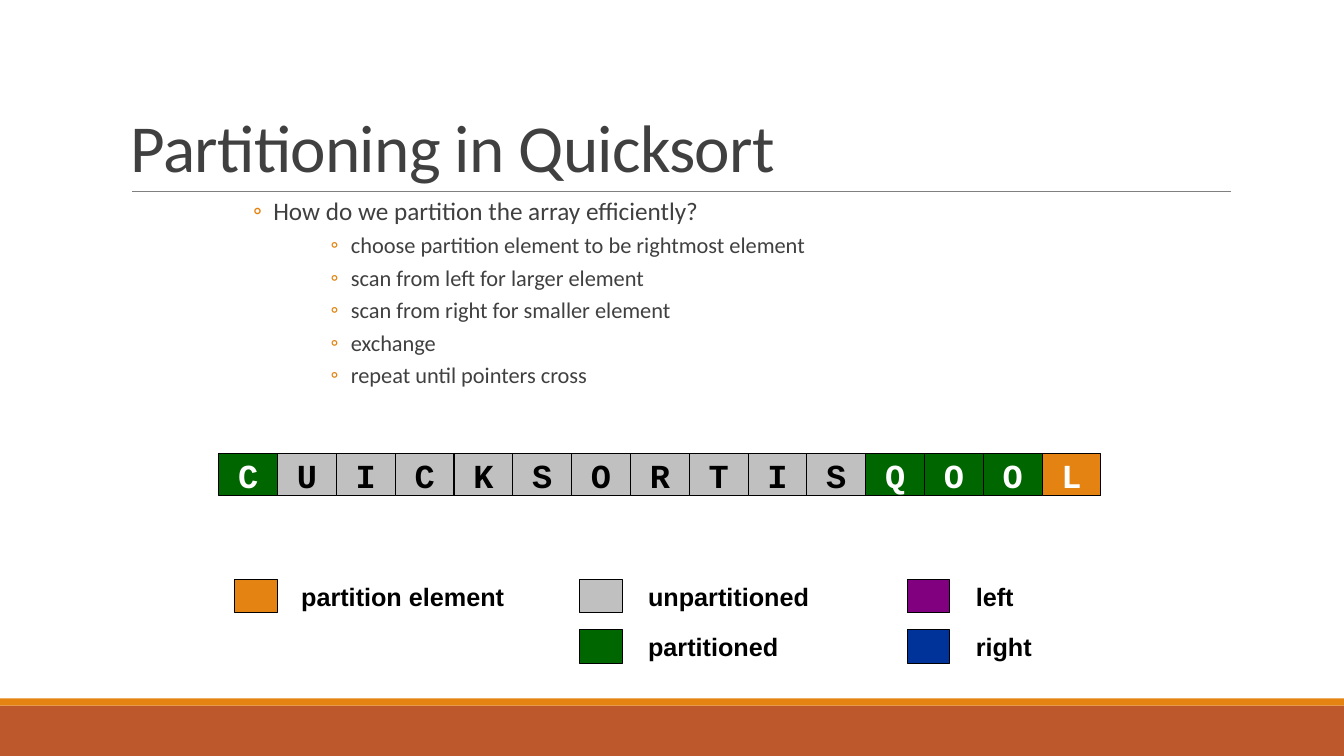
from dataclasses import dataclass

import lxml.etree
import pptx
import pptx.dml.color
import pptx.enum.shapes
import pptx.enum.text
import pptx.oxml.ns
import pptx.util

Inches = pptx.util.Inches
Pt = pptx.util.Pt
RGBColor = pptx.dml.color.RGBColor
Align = pptx.enum.text.PP_ALIGN
Anchor = pptx.enum.text.MSO_ANCHOR
qn = pptx.oxml.ns.qn

RUST = RGBColor(0xBD, 0x58, 0x2C)
ORANGE = RGBColor(0xE4, 0x83, 0x12)
GREEN = RGBColor(0x00, 0x66, 0x00)
SILVER = RGBColor(0xC0, 0xC0, 0xC0)
PURPLE = RGBColor(0x80, 0x00, 0x80)
BLUE = RGBColor(0x00, 0x33, 0x99)
GRAY = RGBColor(0x80, 0x80, 0x80)
DARK = RGBColor(0x40, 0x40, 0x40)
BLACK = RGBColor(0x00, 0x00, 0x00)
WHITE = RGBColor(0xFF, 0xFF, 0xFF)


@dataclass
class Box:
    left: float
    top: float
    width: float
    height: float

    def lengths(self) -> list:
        return [Inches(n) for n in (self.left, self.top, self.width, self.height)]


@dataclass
class Style:
    font: str
    size: int
    color: RGBColor
    bold: bool = False


@dataclass
class Key:
    """One legend entry: a colour swatch and its label."""
    text: str
    fill: RGBColor
    left: float
    top: float
    width: float
    align: Align = Align.LEFT
    margin: float = 0.1


@dataclass
class Point:
    text: str
    level: int = 2


LEVELS = {1: (0.42, 18), 2: (1.19, 16)}  # level: (left margin, text size)
LABEL = Style("Arial", 18, BLACK, True)

POINTS = [
    Point("How do we partition the array efficiently?", 1),
    Point("choose partition element to be rightmost element"),
    Point("scan from left for larger element"),
    Point("scan from right for smaller element"),
    Point("exchange"),
    Point("repeat until pointers cross"),
]

# Runs of array letters that share a fill and a text colour
PARTS = [
    ("C", GREEN, WHITE),
    ("UICKSORTIS", SILVER, BLACK),
    ("QOO", GREEN, WHITE),
    ("L", ORANGE, WHITE),
]

# The longest label needs the full width of its box, so it has no margin
KEYS = [
    Key("partition element", ORANGE, 2.33, 5.75, 2.17, Align.CENTER, 0),
    Key("unpartitioned", SILVER, 5.75, 5.75, 2.17),
    Key("partitioned", GREEN, 5.75, 6.25, 2.17),
    Key("left", PURPLE, 9, 5.75, 1.08),
    Key("right", BLUE, 9, 6.25, 1.08),
]


def add_rect(slide, box: Box, fill: RGBColor, edge: bool = True):
    rect = slide.shapes.add_shape(
        pptx.enum.shapes.MSO_SHAPE.RECTANGLE, *box.lengths())
    rect.shadow.inherit = False
    rect.fill.solid()
    rect.fill.fore_color.rgb = fill
    if edge:
        rect.line.color.rgb = BLACK
        rect.line.width = Pt(0.75)
    else:
        rect.line.fill.background()
    return rect


def add_run(para, text: str, style: Style):
    run = para.add_run()
    run.text = text
    run.font.name = style.font
    run.font.size = Pt(style.size)
    run.font.bold = style.bold
    run.font.color.rgb = style.color
    return run


def write_line(shape, text: str, style: Style, align: Align, margin: float = 0.1) -> None:
    """Put one unwrapped, vertically centred line into a shape."""
    frame = shape.text_frame
    frame.word_wrap = False
    frame.vertical_anchor = Anchor.MIDDLE
    frame.margin_left = frame.margin_right = Inches(margin)
    para = frame.paragraphs[0]
    para.alignment = align
    add_run(para, text, style)


def add_bullet(para) -> None:
    props = para._p.get_or_add_pPr()
    color = lxml.etree.SubElement(props, qn("a:buClr"))
    lxml.etree.SubElement(color, qn("a:srgbClr"), val=str(ORANGE))
    lxml.etree.SubElement(props, qn("a:buFont"), typeface="Calibri")
    lxml.etree.SubElement(props, qn("a:buChar"), char="◦")


def draw_frame(slide) -> None:
    """Draw the footer bands and the rule below the title."""
    add_rect(slide, Box(0, 7, 13.33, 0.5), RUST, False)
    add_rect(slide, Box(0, 6.93, 13.33, 0.07), ORANGE, False)
    rule = slide.shapes.add_connector(
        pptx.enum.shapes.MSO_CONNECTOR.STRAIGHT,
        Inches(1.31), Inches(1.9), Inches(12.21), Inches(1.9))
    rule.line.color.rgb = GRAY
    rule.line.width = Pt(0.5)
    lxml.etree.SubElement(rule._element.spPr, qn("a:effectLst"))


def draw_title(slide) -> None:
    frame = slide.shapes.add_textbox(*Box(1.2, 0.31, 11, 1.59).lengths()).text_frame
    frame.word_wrap = True
    frame.vertical_anchor = Anchor.BOTTOM
    para = frame.paragraphs[0]
    para.line_spacing = 0.85
    run = add_run(para, "Partitioning in Quicksort", Style("Calibri", 48, DARK))
    run._r.get_or_add_rPr().set("spc", "-50")


def draw_points(slide) -> None:
    frame = slide.shapes.add_textbox(*Box(2.29, 1.92, 8.75, 2.1).lengths()).text_frame
    frame.word_wrap = True
    frame.margin_left = frame.margin_right = 0
    for i, point in enumerate(POINTS):
        para = frame.add_paragraph() if i else frame.paragraphs[0]
        margin, size = LEVELS[point.level]
        para.level = point.level
        para.line_spacing = 0.9
        para.space_before = Pt(2 if i else 0)
        para.space_after = Pt(4)
        props = para._p.get_or_add_pPr()
        props.set("marL", str(Inches(margin)))
        props.set("indent", str(Inches(-0.2)))
        add_bullet(para)
        add_run(para, point.text, Style("Calibri", size, DARK))


def draw_array(slide) -> None:
    width = 7 / 12
    cells = [(char, fill, ink) for text, fill, ink in PARTS for char in text]
    for i, (char, fill, ink) in enumerate(cells):
        cell = add_rect(slide, Box(2.17 + i * width, 4.5, width, 0.42), fill)
        write_line(cell, char, Style("Courier New", 24, ink, True), Align.CENTER)


def draw_key(slide, key: Key) -> None:
    add_rect(slide, Box(key.left, key.top, 0.42, 0.33), key.fill)
    box = Box(key.left + 0.58, key.top, key.width, 0.33)
    label = slide.shapes.add_textbox(*box.lengths())
    write_line(label, key.text, LABEL, key.align, key.margin)


def main() -> None:
    deck = pptx.Presentation()
    deck.slide_width = Inches(13.33)
    deck.slide_height = Inches(7.5)
    slide = deck.slides.add_slide(deck.slide_layouts[6])
    draw_frame(slide)
    draw_title(slide)
    draw_points(slide)
    draw_array(slide)
    for key in KEYS:
        draw_key(slide, key)
    deck.save("out.pptx")


if __name__ == "__main__":
    main()
